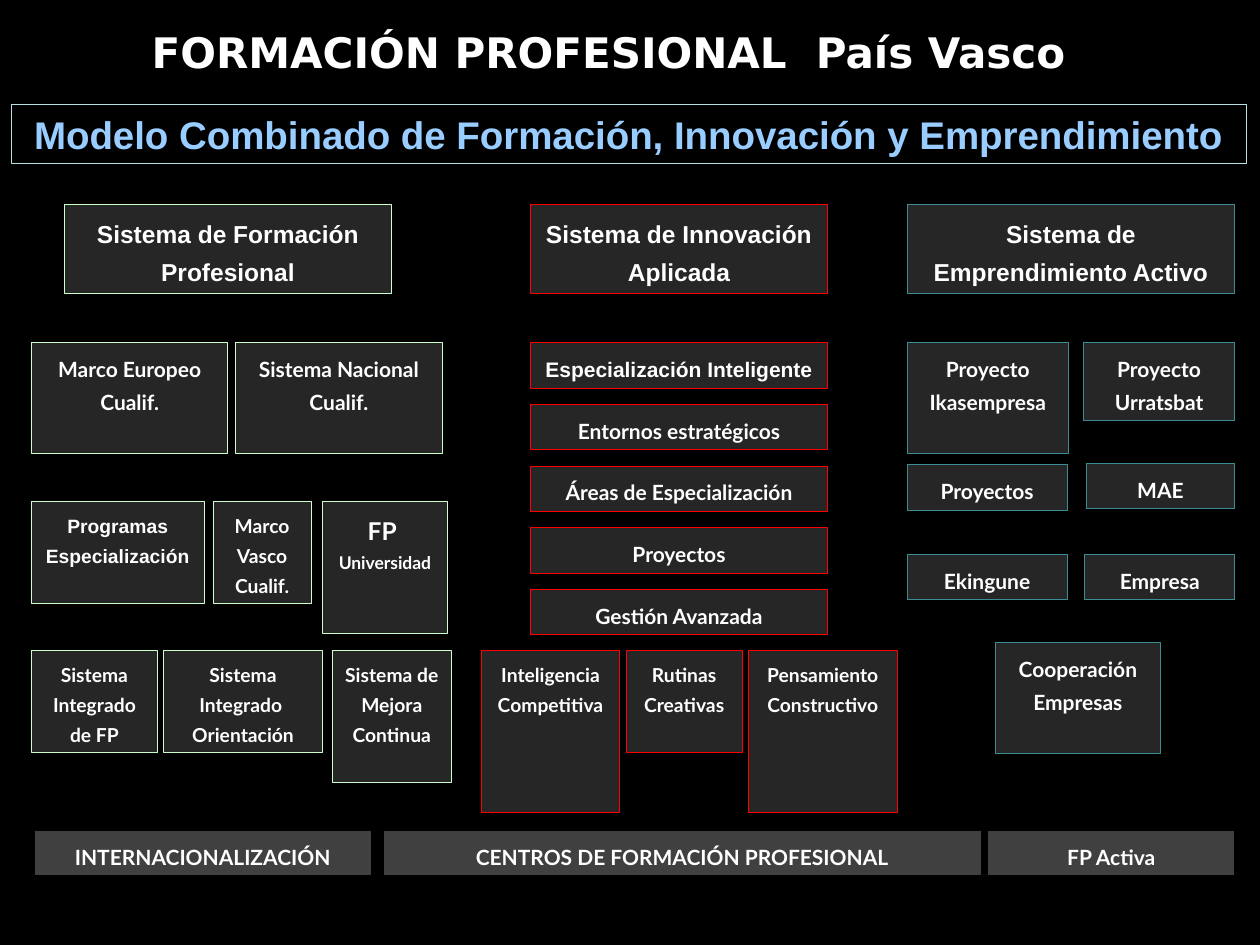
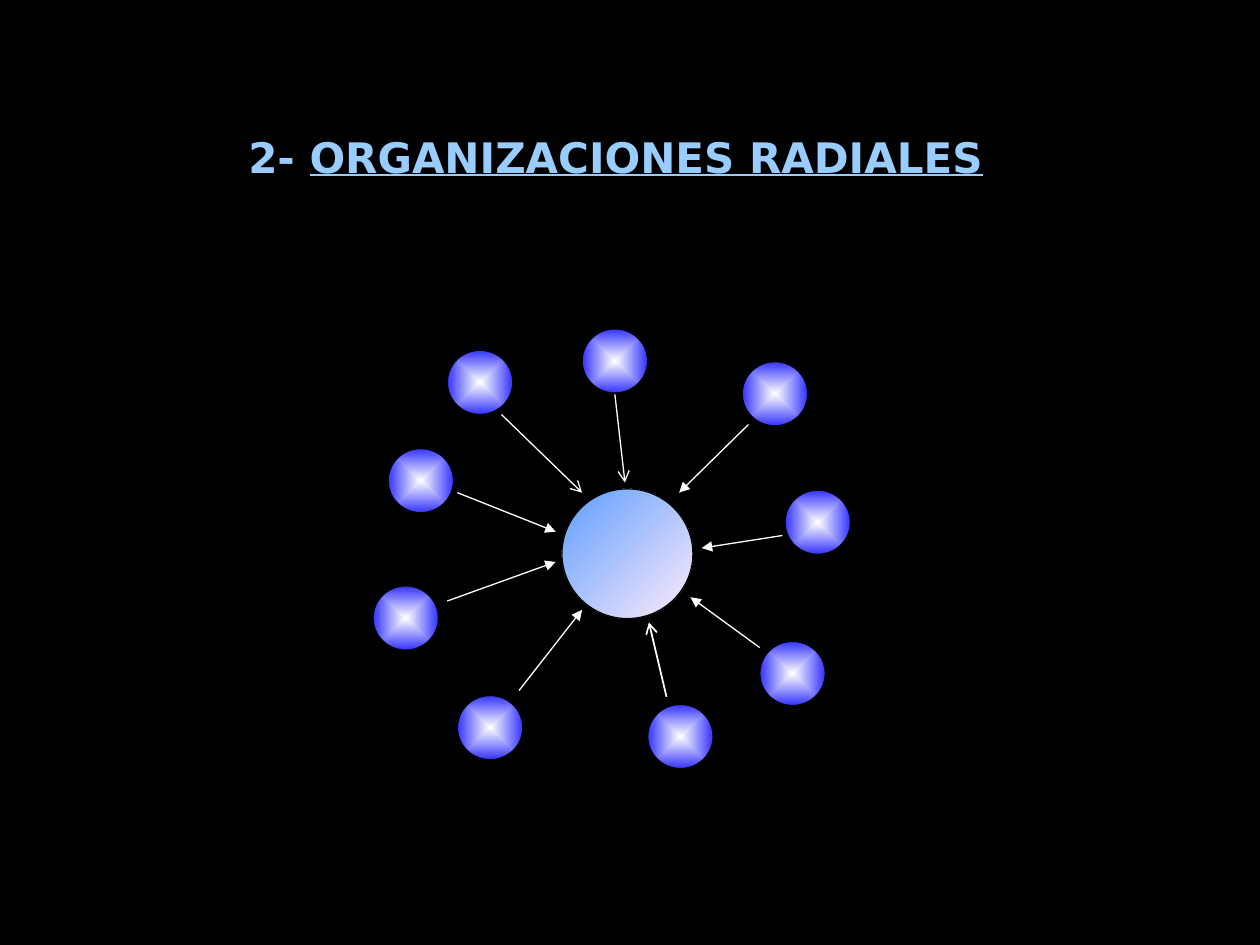
from lxml import etree
from pptx import Presentation
from pptx.dml.color import RGBColor
from pptx.enum.shapes import MSO_CONNECTOR, MSO_SHAPE
from pptx.enum.text import MSO_ANCHOR, MSO_AUTO_SIZE, PP_ALIGN
from pptx.oxml import parse_xml
from pptx.oxml.ns import nsdecls, qn
from pptx.util import Inches, Pt

RECT, OVAL = MSO_SHAPE.RECTANGLE, MSO_SHAPE.OVAL
STRAIGHT = MSO_CONNECTOR.STRAIGHT
CENTER, TOP = PP_ALIGN.CENTER, MSO_ANCHOR.TOP
FIXED_SIZE = MSO_AUTO_SIZE.NONE
TITLE_ONLY = 5

# Shared palette and fonts
BLACK, WHITE, SKY = "000000", "FFFFFF", "99CCFF"
PANEL, BAR = "262626", "404040"
GREEN, RED, TEAL, PALE = "CCFFCC", "FF0000", "3C8C93", "BBE0E3"
ARIAL, LATO, TITLE_FONT = "Arial", "Lato", "DejaVu Sans"
FRAME_FORMAT = {
    "word_wrap": True, "auto_size": FIXED_SIZE, "vertical_anchor": TOP,
    "margin_left": Inches(0.1), "margin_right": Inches(0.1),
    "margin_top": Inches(0.05), "margin_bottom": Inches(0.05),
}


def rgb(code):
    return RGBColor.from_string(code)


def apply_format(target, values):
    for name, value in values.items():
        setattr(target, name, value)


class Deck:
    def __init__(self):
        self.prs = Presentation()
        self.prs.slide_width, self.prs.slide_height = Inches(10), Inches(7.5)
        backdrop = self.prs.slide_master.background.fill
        backdrop.solid()
        backdrop.fore_color.rgb = rgb(BLACK)
        self.slide = None

    def add_text(self, paragraph, text, size, font, color, underline=None):
        run = paragraph.add_run()
        run.text = text
        apply_format(run.font, {"size": Pt(size), "name": font, "bold": True,
                                "underline": underline})
        run.font.color.rgb = rgb(color)

    def new_slide(self, box, parts, color):
        """Start a slide; parts are (text, underline) pairs of its title."""
        self.slide = self.prs.slides.add_slide(self.prs.slide_layouts[TITLE_ONLY])
        title = self.slide.shapes.title
        apply_format(title, dict(zip(("left", "top", "width", "height"),
                                     map(Inches, box))))
        apply_format(title.text_frame, FRAME_FORMAT)
        paragraph = title.text_frame.paragraphs[0]
        paragraph.alignment = CENTER
        for text, underline in parts:
            self.add_text(paragraph, text, 24, TITLE_FONT, color, underline)

    def shape(self, kind, box, line, weight):
        shape = self.slide.shapes.add_shape(kind, *map(Inches, box))
        shape.shadow.inherit = False
        shape.line.color.rgb = rgb(line)
        shape.line.width = Pt(weight)
        return shape

    def box(self, box, text, line, size=12, font=LATO, fill=PANEL, color=WHITE,
            weight=0.5, spacing=1.3):
        """Text box with a border; size may be a list, one entry per line."""
        panel = self.shape(RECT, box, line, weight)
        if fill:
            panel.fill.solid()
            panel.fill.fore_color.rgb = rgb(fill)
        else:
            panel.fill.background()
        frame = panel.text_frame
        apply_format(frame, FRAME_FORMAT)
        for i, words in enumerate(text.split("\n")):
            paragraph = frame.add_paragraph() if i else frame.paragraphs[0]
            apply_format(paragraph, {"alignment": CENTER, "line_spacing": spacing})
            self.add_text(paragraph, words,
                          size[i] if isinstance(size, list) else size, font, color)

    def ball(self, box, start, end, angle=None):
        """Gradient circle: linear with an angle, else from the centre out."""
        ball = self.shape(OVAL, box, BLACK, 0.75)
        ball.fill.gradient()
        for stop, code in zip(ball.fill.gradient_stops, (start, end)):
            stop.color.rgb = rgb(code)
        if angle is not None:
            ball.fill.gradient_angle = angle
            return
        gradient = ball._element.spPr.find(qn("a:gradFill"))
        gradient.replace(gradient.find(qn("a:lin")), parse_xml(
            f'<a:path {nsdecls("a")} path="rect">'
            '<a:fillToRect l="50000" t="50000" r="50000" b="50000"/></a:path>'))

    def arrow(self, start, end, head, weight=0.75):
        arrow = self.slide.shapes.add_connector(STRAIGHT, *map(Inches, start + end))
        arrow.line.color.rgb = rgb(WHITE)
        arrow.line.width = Pt(weight)
        properties = arrow._element.spPr
        etree.SubElement(properties.find(qn("a:ln")), qn("a:tailEnd"), type=head)
        etree.SubElement(properties, qn("a:effectLst"))


deck = Deck()

# Slide 1: combined model
deck.new_slide((0.97, 0.16, 7.72, 0.5),
               [("FORMACIÓN PROFESIONAL  País Vasco", None)], WHITE)
deck.box((0.09, 0.83, 9.8, 0.47),
         "Modelo Combinado de Formación, Innovación y Emprendimiento",
         PALE, 22, ARIAL, fill=None, color=SKY, spacing=1.0)

# Heads of the three systems
for left, width, system, line in [
    (0.51, 2.6, "Sistema de Formación Profesional", GREEN),
    (4.21, 2.36, "Sistema de Innovación Aplicada", RED),
    (7.2, 2.6, "Sistema de Emprendimiento Activo", TEAL),
]:
    deck.box((left, 1.62, width, 0.71), system, line, 14, ARIAL)

# Vocational training: (box, text, size, font)
for area, text, size, font in [
    ((0.25, 2.72, 1.56, 0.88), "Marco Europeo Cualif.", 12, LATO),
    ((1.87, 2.72, 1.64, 0.88), "Sistema Nacional Cualif.", 12, LATO),
    ((0.25, 3.98, 1.37, 0.81), "Programas\nEspecialización", 11, ARIAL),
    ((1.69, 3.98, 0.78, 0.81), "Marco Vasco Cualif.", 11, LATO),
    ((2.56, 3.98, 0.99, 1.05), "FP \nUniversidad", [14, 10], LATO),
    ((0.25, 5.16, 1, 0.81), "Sistema Integrado de FP", 11, LATO),
    ((1.3, 5.16, 1.26, 0.81), "Sistema Integrado  Orientación", 11, LATO),
    ((2.64, 5.16, 0.94, 1.05), "Sistema de Mejora Continua", 11, LATO),
]:
    deck.box(area, text, GREEN, size, font)

# Applied innovation: an even stack, then three skills
for i, step in enumerate(["Especialización Inteligente", "Entornos estratégicos",
                          "Áreas de Especialización", "Proyectos",
                          "Gestión Avanzada"]):
    deck.box((4.21, 2.72 + 0.49 * i, 2.36, 0.36), step, RED,
             font=LATO if i else ARIAL)
for left, width, height, skill in [
    (3.82, 1.1, 1.29, "Inteligencia Competitiva"),
    (4.97, 0.92, 0.81, "Rutinas Creativas"),
    (5.94, 1.18, 1.29, "Pensamiento Constructivo"),
]:
    deck.box((left, 5.16, width, height), skill, RED, 11)

# Active entrepreneurship
for area, text in [
    ((7.2, 2.72, 1.28, 0.88), "Proyecto\nIkasempresa"),
    ((8.6, 2.72, 1.2, 0.62), "Proyecto\nUrratsbat"),
    ((7.2, 3.69, 1.27, 0.36), "Proyectos"),
    ((8.62, 3.68, 1.18, 0.36), "MAE"),
    ((7.2, 4.4, 1.27, 0.36), "Ekingune"),
    ((8.61, 4.4, 1.19, 0.36), "Empresa"),
    ((7.9, 5.1, 1.31, 0.88), "Cooperación\nEmpresas"),
]:
    deck.box(area, text, TEAL)

# Base bars
for left, width, base in [
    (0.27, 2.68, "INTERNACIONALIZACIÓN"),
    (3.04, 4.75, "CENTROS DE FORMACIÓN PROFESIONAL"),
    (7.84, 1.96, "FP Activa"),
]:
    deck.box((left, 6.59, width, 0.36), base, BLACK, fill=BAR, weight=0.75)

# Slide 2: radial organisations
deck.new_slide((0.83, 0.99, 8.11, 0.5),
               [("2- ", None), ("ORGANIZACIONES RADIALES", True)], SKY)

# Satellites: (left, top), then the arrow's start, end, head and weight
for corner, start, end, head, weight in [
    ((4.62, 2.61), (4.88, 3.13), (4.96, 3.83), "arrow", 0.75),
    ((5.89, 2.87), (5.94, 3.37), (5.39, 3.91), "triangle", 0.75),
    ((6.23, 3.89), (6.21, 4.25), (5.57, 4.35), "triangle", 0.75),
    ((6.03, 5.09), (6.03, 5.14), (5.48, 4.74), "triangle", 0.75),
    ((5.14, 5.59), (5.29, 5.53), (5.15, 4.94), "arrow", 1),
    ((3.63, 5.52), (4.12, 5.48), (4.62, 4.84), "triangle", 0.75),
    ((2.96, 4.65), (3.55, 4.77), (4.41, 4.46), "triangle", 0.75),
    ((3.08, 3.56), (3.63, 3.91), (4.41, 4.22), "triangle", 0.75),
    ((3.55, 2.78), (3.98, 3.29), (4.62, 3.91), "arrow", 0.75),
]:
    deck.arrow(start, end, head, weight)
    deck.ball(corner + (0.52, 0.51), WHITE, "3333FF")

# Hub
deck.ball((4.46, 3.88, 1.04, 1.03), "5E9EFF", "FFEBFA", angle=315)

deck.prs.save("out.pptx")
